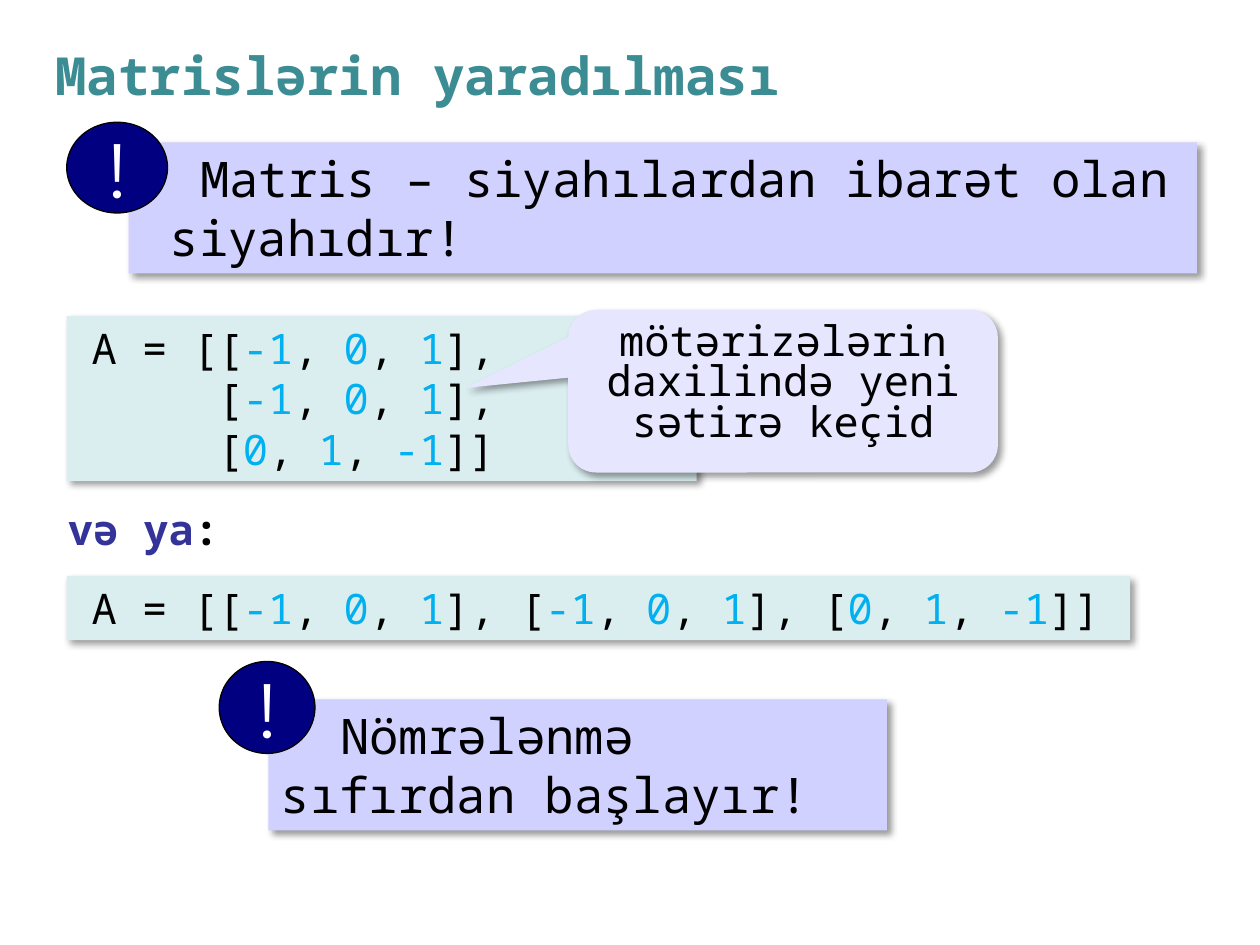
from itertools import groupby
from lxml import etree
from pptx import Presentation
from pptx.dml.color import RGBColor
from pptx.enum.shapes import MSO_SHAPE
from pptx.enum.text import MSO_ANCHOR, PP_ALIGN
from pptx.oxml import parse_xml
from pptx.oxml.ns import nsdecls
from pptx.util import Inches, Pt

MONO, SANS = "Noto Sans Mono", "Montserrat"
BLACK, WHITE, NUMBER = "000000", "FFFFFF", "00B0F0"
CODE_FILL, NOTE_FILL, CALLOUT_FILL, BADGE_FILL = "DAEDEF", "D1D1FF", "E6E6FF", "000080"

TITLE = [("Matrislərin yaradılması", "3C8C93")]
OR_LABEL = [("və ya", "333399"), (":", BLACK)]
CALLOUT = "mötərizələrin daxilində yeni sətirə keçid"
CODE_BLOCKS = [
    ((0.53, 2.51, 5, 1.31), ["A = [[-1, 0, 1],", "[-1, 0, 1],", "[0, 1, -1]]"]),
    ((0.53, 4.57, 8.44, 0.51), ["A = [[-1, 0, 1], [-1, 0, 1], [0, 1, -1]]"]),
]
NOTES = [
    ((1.02, 1.13, 8.48, 1.04), (0.53, 0.97, 0.8, 0.72), 0.23,
     "Matris – siyahılardan ibarət olan siyahıdır!"),
    ((2.13, 5.55, 4.91, 1.04), (1.74, 5.25, 0.76, 0.73), 0,
     "Nömrələnmə sıfırdan başlayır!"),
]
FIRST_LINE = 0.47
ROW_INDENT = 1


def rgb(color):
    return RGBColor.from_string(color)


def add_shadow(sp):
    sp._element.spPr.append(parse_xml(
        f'<a:effectLst {nsdecls("a")}>'
        f'<a:outerShdw blurRad="{Pt(4)}" dist="{Pt(3)}" dir="2700000" algn="tl" rotWithShape="0">'
        '<a:srgbClr val="000000"><a:alpha val="40000"/></a:srgbClr>'
        '</a:outerShdw></a:effectLst>'))


def add_box(shapes, kind, box, fill, shadow=True):
    sp = shapes.add_shape(kind, *map(Inches, box))
    sp.fill.solid()
    sp.fill.fore_color.rgb = rgb(fill)
    sp.line.fill.background()
    if shadow:
        add_shadow(sp)
    else:
        sp.shadow.inherit = False
    tf = sp.text_frame
    tf.word_wrap = True
    tf.vertical_anchor = MSO_ANCHOR.TOP
    return sp


def add_label(shapes, box, runs, size, anchor):
    tf = shapes.add_textbox(*map(Inches, box)).text_frame
    tf.word_wrap = True
    tf.vertical_anchor = anchor
    write(tf.paragraphs[0], runs, size, bold=True)


def write(p, runs, size, font=MONO, align=PP_ALIGN.LEFT, bold=False, margin=0, indent=0):
    p.alignment = align
    p.font.name, p.font.size, p.font.bold = font, Pt(size), bold
    pPr = p._p.get_or_add_pPr()
    pPr.set("marL", str(Inches(margin)))
    pPr.set("indent", str(Inches(indent)))
    for words, color in runs:
        r = p.add_run()
        r.text = words
        r.font.color.rgb = rgb(color)


def color_code(line):
    return [("".join(chars), NUMBER if number else BLACK)
            for number, chars in groupby(line, lambda c: c in "-0123456789")]


def add_code(shapes, box, lines):
    tf = add_box(shapes, MSO_SHAPE.RECTANGLE, box, CODE_FILL).text_frame
    for i, line in enumerate(lines):
        p = tf.add_paragraph() if i else tf.paragraphs[0]
        margin = 0.2 + (ROW_INDENT if i else 0)
        write(p, color_code(line), 24, align=PP_ALIGN.JUSTIFY, margin=margin, indent=-0.1)


def add_note(shapes, box, badge_box, margin, words):
    group = shapes.add_group_shape().shapes
    note = add_box(group, MSO_SHAPE.RECTANGLE, box, NOTE_FILL)
    write(note.text_frame.paragraphs[0], [(words, BLACK)], 28,
          margin=margin, indent=FIRST_LINE - margin)
    badge = add_box(group, MSO_SHAPE.OVAL, badge_box, BADGE_FILL, shadow=False)
    badge.line.color.rgb = rgb(BLACK)
    badge.line.width = Pt(0.75)
    tf = badge.text_frame
    tf.word_wrap = False
    tf.vertical_anchor = MSO_ANCHOR.MIDDLE
    write(tf.paragraphs[0], [("!", WHITE)], 44, font=SANS, align=PP_ALIGN.CENTER)


def add_callout(shapes):
    sp = add_box(shapes, MSO_SHAPE.ROUNDED_RECTANGULAR_CALLOUT,
                 (4.51, 2.46, 3.41, 1.29), CALLOUT_FILL)
    for i, value in enumerate((-0.74, -0.02, 0.17)):
        sp.adjustments[i] = value
    p = sp.text_frame.paragraphs[0]
    write(p, [(CALLOUT, BLACK)], 24, align=PP_ALIGN.CENTER)
    p.line_spacing = 0.8


def main():
    prs = Presentation()
    prs.slide_width, prs.slide_height = Inches(10), Inches(7.5)
    s = prs.slides.add_slide(prs.slide_layouts[6])
    add_label(s.shapes, (0.34, 0.33, 9.16, 0.52), TITLE, 30, MSO_ANCHOR.MIDDLE)
    add_code(s.shapes, *CODE_BLOCKS[0])
    add_note(s.shapes, *NOTES[0])
    add_callout(s.shapes)
    add_code(s.shapes, *CODE_BLOCKS[1])
    add_label(s.shapes, (0.44, 3.95, 5.47, 0.51), OR_LABEL, 24, MSO_ANCHOR.TOP)
    add_note(s.shapes, *NOTES[1])
    prs.save("out.pptx")


if __name__ == "__main__":
    main()
